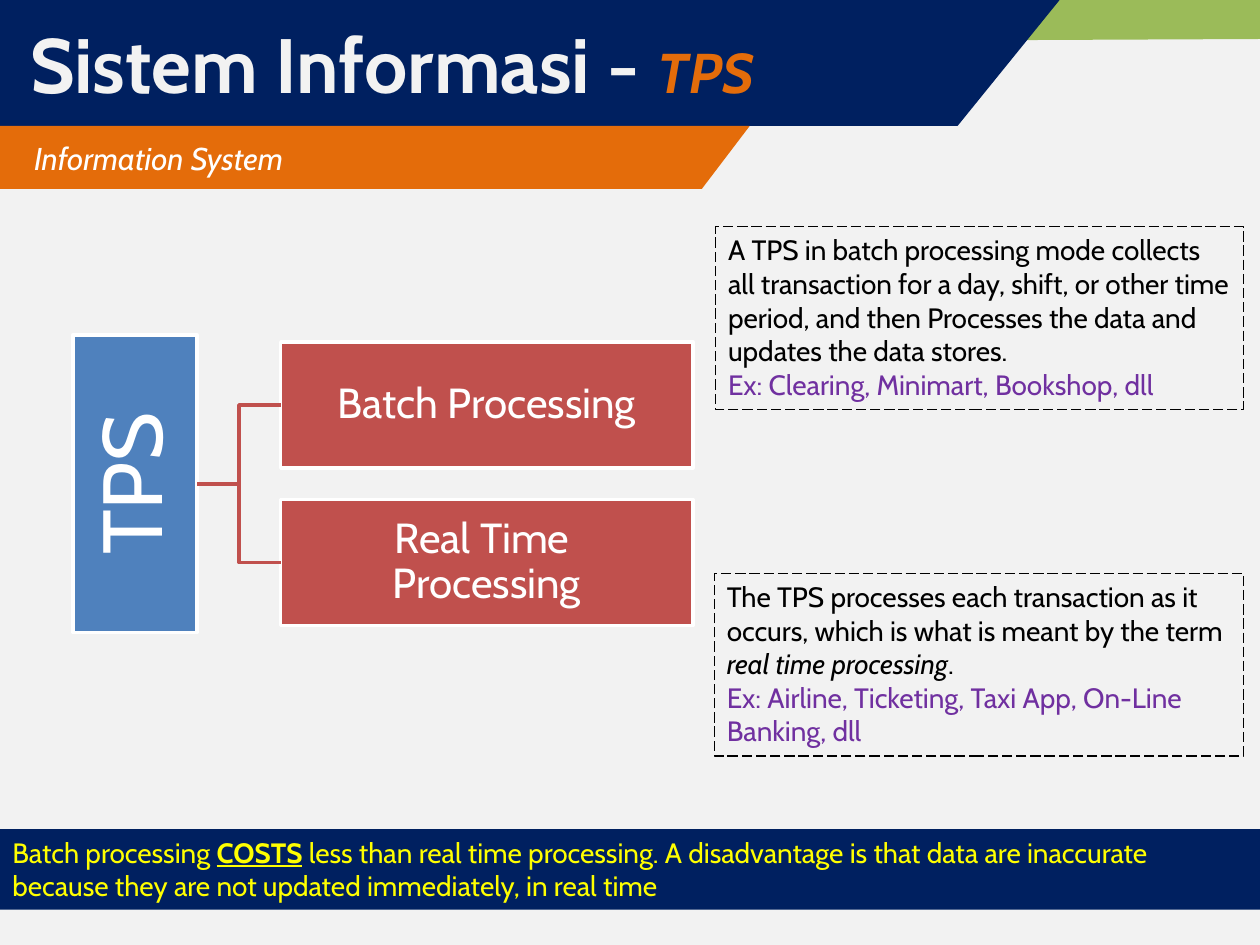
from pptx import Presentation
from pptx.dml.color import RGBColor
from pptx.enum.dml import MSO_LINE_DASH_STYLE as Dash
from pptx.enum.shapes import MSO_CONNECTOR as Conn, MSO_SHAPE as Shape
from pptx.enum.text import MSO_ANCHOR as Anchor, MSO_AUTO_SIZE as AutoSize, PP_ALIGN as Align
from pptx.oxml.ns import qn
from pptx.util import Inches, Pt
from lxml import etree

FONT = "Cabin"
COLORS = {
    "paper": "F2F2F2", "navy": "002060", "orange": "E46C0A", "green": "9BBB59",
    "blue": "4F81BD", "red": "C0504D", "purple": "7030A0", "yellow": "FFFF00",
    "white": "FFFFFF", "black": "000000",
}
COLS, ROWS = 100, 75  # slide grid

prs = Presentation()
prs.slide_width, prs.slide_height = Inches(10), Inches(7.5)
COL, ROW = prs.slide_width / COLS, prs.slide_height / ROWS


def rgb(name):
    return RGBColor.from_string(COLORS[name])


def emu(x, y, w, h):
    """Grid box to slide units."""
    return round(x * COL), round(y * ROW), round(w * COL), round(h * ROW)


def paint(s, fill=None, line=None, width=2):
    s.shadow.inherit = False
    if fill:
        s.fill.solid()
        s.fill.fore_color.rgb = rgb(fill)
    else:
        s.fill.background()
    if line:
        s.line.color.rgb = rgb(line)
        s.line.width = Pt(width)
    else:
        s.line.fill.background()


def write(s, lines, size, anchor=Anchor.MIDDLE, align=Align.LEFT, spacing=None):
    """Each line is a colour and its runs; a run is text plus font settings."""
    tf = s.text_frame
    tf.word_wrap, tf.vertical_anchor = True, anchor
    for i, (color, runs) in enumerate(lines):
        p = tf.add_paragraph() if i else tf.paragraphs[0]
        p.alignment, p.line_spacing = align, spacing
        p.font.name, p.font.size, p.font.color.rgb = FONT, Pt(size), rgb(color)
        for text, style in runs:
            r = p.add_run()
            r.text = text
            for key, value in style.items():
                if key == "color":
                    r.font.color.rgb = rgb(value)
                else:
                    setattr(r.font, key, value)
    return tf


def rect(slide, box, fill=None, line=None, width=2):
    s = slide.shapes.add_shape(Shape.RECTANGLE, *emu(*box))
    paint(s, fill, line, width)
    return s


def band(slide, origin, points, fill):
    x, y = origin
    pts = [(round((x + px) * COL), round((y + py) * ROW)) for px, py in points]
    builder = slide.shapes.build_freeform(*pts[0])
    builder.add_line_segments(pts[1:], close=True)
    s = builder.convert_to_shape()
    paint(s, fill)
    return s


def header(slide, x, y, w, h):
    top = h * 2 / 3  # the navy band takes two thirds, the orange one the rest
    band(slide, (x, y), [(56.9, 0), (w, 0), (w, 3.1), (55.8, 3.3)], "green")
    band(slide, (x, y), [(0, 0), (84.1, 0), (76, top), (0, top)], "navy")

    title = slide.shapes.add_textbox(*emu(x, y, w, top))
    tf = write(title, [("paper", [
        ("Sistem Informasi - ", {"size": Pt(44)}),
        ("TPS", {"size": Pt(32), "italic": True, "color": "orange"}),
    ])], 44)
    tf.paragraphs[0].font.bold = True
    tf.margin_left = Inches(0.24)

    sub = band(slide, (x, y), [(0, top), (59.5, top), (55.7, h), (0, h)], "orange")
    tf = write(sub, [("white", [("Information System", {"italic": True})])], 18)
    tf.margin_left = Inches(0.27)


def tree(slide, x, y, w, h, root, branches):
    root_w, branch_w, branch_h, pitch = w * 0.2, w * 0.665, 10, 12.5

    def node(box, fill, lines, size, margin):
        s = rect(slide, box, fill, "white")
        tf = write(s, [("white", [(t, {})]) for t in lines], size,
                   align=Align.CENTER, spacing=0.9)
        tf.margin_left = tf.margin_right = Inches(margin)
        tf.margin_top = tf.margin_bottom = Inches(margin)
        return s

    # Root, read upwards
    trunk = node((x, y, root_w, h), "blue", [root], 48, 0.04)
    trunk.text_frame._txBody.bodyPr.set("vert", "vert270")

    # Branches, centred on the root
    first = y + (h - branch_h - pitch * (len(branches) - 1)) / 2
    for i, lines in enumerate(branches):
        leaf = node((x + w - branch_w, first + i * pitch, branch_w, branch_h),
                    "red", lines, 24, 0.02)
        link = slide.shapes.add_connector(Conn.ELBOW, 0, 0, 0, 0)
        link.begin_connect(trunk, 3)
        link.end_connect(leaf, 1)
        link.line.color.rgb, link.line.width = rgb("red"), Pt(2)
        etree.SubElement(link._element.spPr, qn("a:effectLst"))


def note(slide, x, y, w, h, body, example):
    s = rect(slide, (x, y, w, h), line="black", width=0.75)
    s.line.dash_style = Dash.LONG_DASH
    tf = write(s, [("black", body), ("purple", [(example, {})])], 16, Anchor.TOP)
    tf.auto_size = AutoSize.SHAPE_TO_FIT_TEXT


def footer(slide, x, y, w, h, runs):
    tf = write(rect(slide, (x, y, w, h), "navy"), [("yellow", runs)], 16, Anchor.TOP)
    tf.auto_size = AutoSize.SHAPE_TO_FIT_TEXT


def main():
    slide = prs.slides.add_slide(prs.slide_layouts[6])
    slide.background.fill.solid()
    slide.background.fill.fore_color.rgb = rgb("paper")

    header(slide, 0, 0, COLS, 15)
    tree(slide, 5.8, 26.6, 49.2, 23.6, "TPS",
         [["Batch Processing"], ["Real Time ", "Processing"]])
    note(slide, 56.8, 18, 41.9, 14.5, [
        ("A TPS in batch processing mode collects all transaction for a day, shift, "
         "or other time period, and then Processes the data and updates the data "
         "stores.", {}),
    ], "Ex: Clearing, Minimart, Bookshop, dll")
    note(slide, 56.7, 45.5, 42, 14.5, [
        ("The TPS processes each transaction as it occurs, which is what is meant "
         "by the term ", {}),
        ("real time processing", {"italic": True}),
        (".", {}),
    ], "Ex: Airline, Ticketing, Taxi App, On-Line Banking, dll")
    footer(slide, 0, 65.8, COLS, 6.4, [
        ("Batch processing ", {}),
        ("COSTS", {"bold": True, "underline": True}),
        (" less than real time processing. A disadvantage is that data are "
         "inaccurate because they are not updated immediately, in real time", {}),
    ])
    prs.save("out.pptx")


if __name__ == "__main__":
    main()
